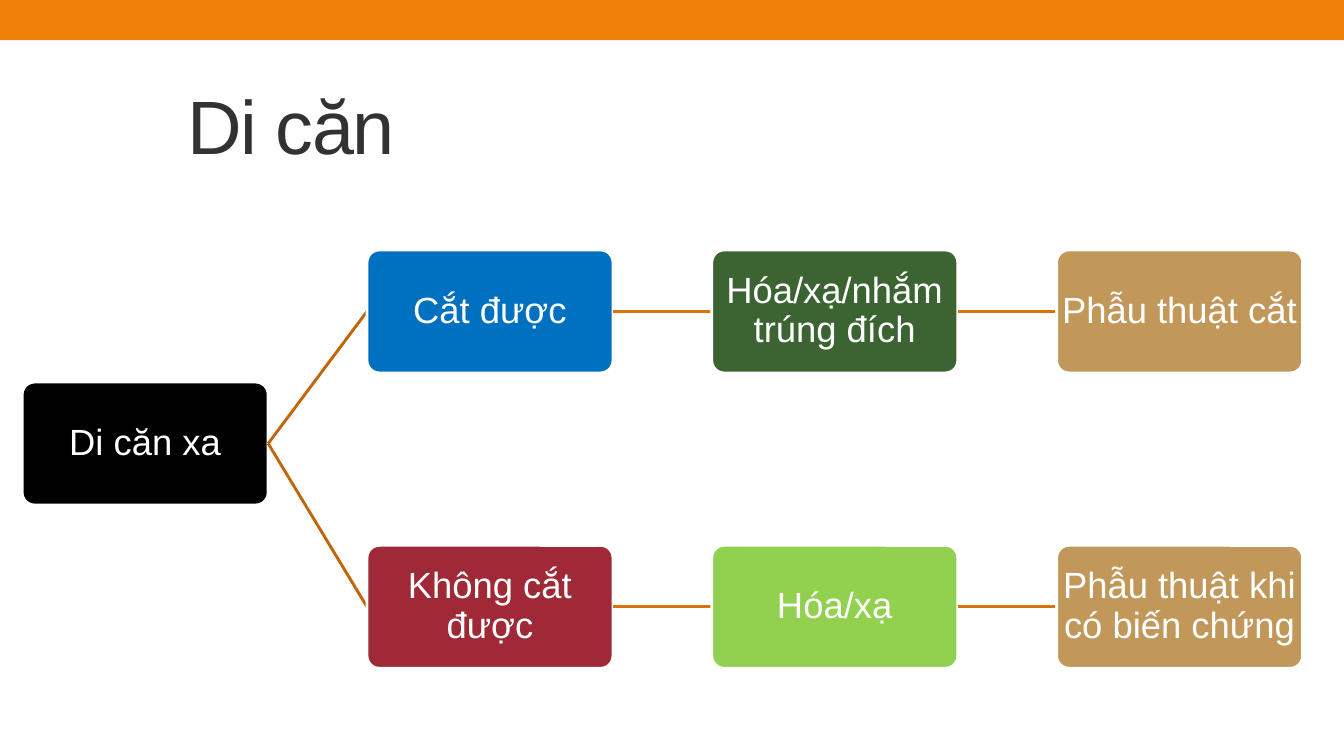
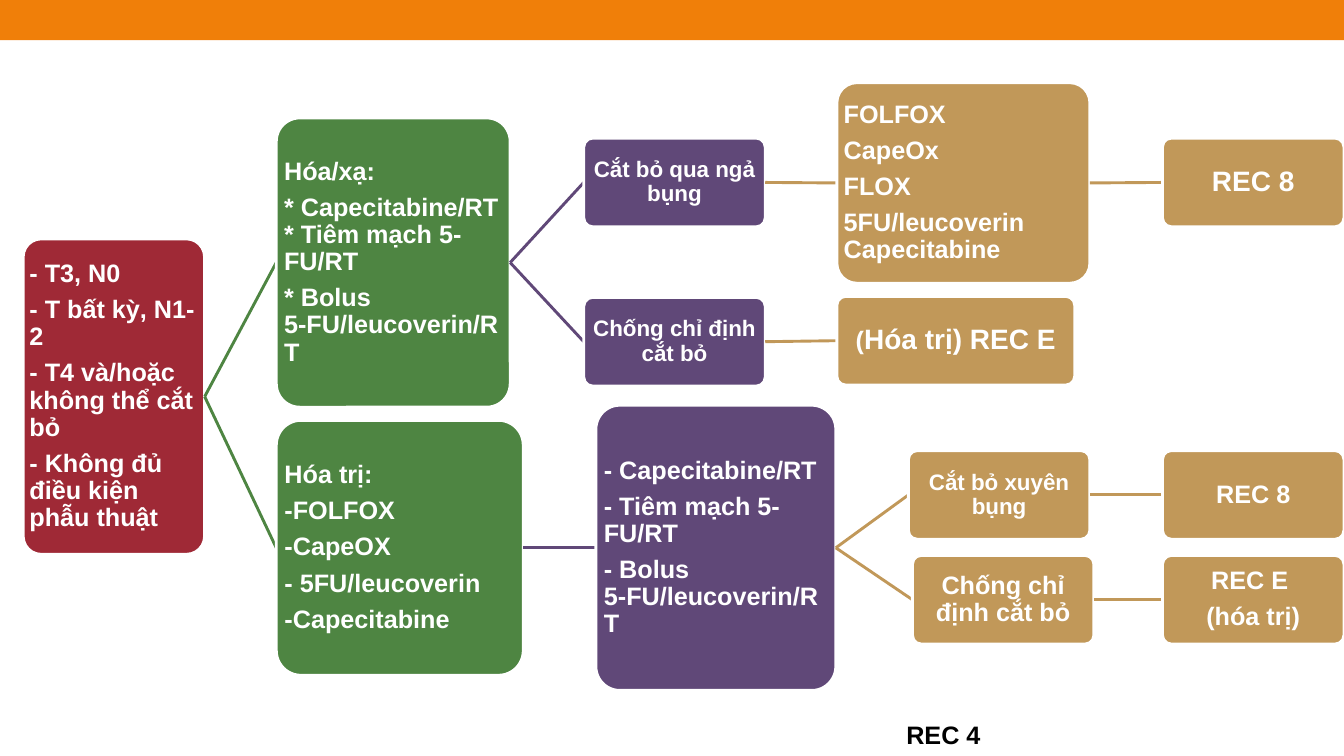
from pptx import Presentation
from pptx.dml.color import RGBColor
from pptx.enum.shapes import MSO_CONNECTOR, MSO_SHAPE
from pptx.enum.text import MSO_ANCHOR, PP_ALIGN
from pptx.oxml.ns import qn
from pptx.util import Inches, Pt
from lxml.etree import SubElement

FONT = "Arial"
WHITE = RGBColor(0xFF, 0xFF, 0xFF)
BLACK = RGBColor(0x00, 0x00, 0x00)
ORANGE = RGBColor(0xF0, 0x7F, 0x09)
DARK_ORANGE = RGBColor(0xC0, 0x66, 0x07)
MID_ORANGE = RGBColor(0xDA, 0x73, 0x08)
CHARCOAL = RGBColor(0x32, 0x32, 0x32)
BLUE = RGBColor(0x00, 0x70, 0xC0)
FOREST = RGBColor(0x3B, 0x64, 0x32)
GREEN = RGBColor(0x4E, 0x85, 0x42)
LIME = RGBColor(0x92, 0xD0, 0x50)
RED = RGBColor(0x9F, 0x29, 0x36)
PURPLE = RGBColor(0x60, 0x48, 0x78)
TAN = RGBColor(0xC1, 0x98, 0x59)

LINE_WIDTH = Pt(2.08)
LEFT_SITE, RIGHT_SITE = 1, 3
TITLE_ONLY, BLANK = 5, 6


def add_slide(prs, layout):
    """Add a slide with the orange band along its top edge."""
    s = prs.slides.add_slide(prs.slide_layouts[layout])
    band = s.shapes.add_shape(MSO_SHAPE.RECTANGLE, 0, 0, prs.slide_width, Inches(0.4))
    band.shadow.inherit = False
    band.fill.solid()
    band.fill.fore_color.rgb = ORANGE
    band.line.fill.background()
    return s


def add_run(p, text, size, color, bold=False):
    r = p.add_run()
    r.text = text
    r.font.name = FONT
    r.font.size = Pt(size)
    r.font.bold = bold
    r.font.color.rgb = color
    return r


def set_title(s, text):
    title = s.shapes.title
    title.left, title.top = Inches(1.76), Inches(0.53)
    title.width, title.height = Inches(9.75), Inches(1.4)
    tf = title.text_frame
    tf.vertical_anchor = MSO_ANCHOR.MIDDLE
    p = tf.paragraphs[0]
    p.alignment = PP_ALIGN.LEFT
    r = add_run(p, text, 54, CHARCOAL)
    r.font._element.set("spc", "-100")


def fill_text(tf, paragraphs, size, bold, align):
    """Write paragraphs; each is a string or a list of (text, size) runs."""
    tf.word_wrap = True
    tf.vertical_anchor = MSO_ANCHOR.MIDDLE
    tf.margin_left = tf.margin_right = tf.margin_top = tf.margin_bottom = Inches(0.01)
    for i, content in enumerate(paragraphs):
        p = tf.add_paragraph() if i else tf.paragraphs[0]
        p.alignment = align
        p.line_spacing = 0.9
        p.space_after = Pt(round(0.35 * size, 1))
        runs = [(content, size)] if isinstance(content, str) else content
        for text, run_size in runs:
            for j, part in enumerate(text.split("\n")):
                if j:
                    p.add_line_break()
                add_run(p, part, run_size, WHITE, bold)


def add_link(s, parent, x, y, color):
    """Draw a line from the right side of parent to the point x, y."""
    link = s.shapes.add_connector(MSO_CONNECTOR.STRAIGHT, 0, 0, x, y)
    link.begin_connect(parent, RIGHT_SITE)
    link.line.color.rgb = color
    link.line.width = LINE_WIDTH
    SubElement(link._element.spPr, qn("a:effectLst"))
    return link


def add_node(s, box, fill, paragraphs, size, bold=True, align=PP_ALIGN.CENTER,
             parent=None, link_color=TAN):
    """Add a rounded box, with a line from its parent lying beneath it."""
    x, y, w, h = (Inches(v) for v in box)
    link = add_link(s, parent, x, y + h // 2, link_color) if parent else None
    sp = s.shapes.add_shape(MSO_SHAPE.ROUNDED_RECTANGLE, x, y, w, h)
    sp.adjustments[0] = 0.1
    sp.shadow.inherit = False
    sp.fill.solid()
    sp.fill.fore_color.rgb = fill
    sp.line.color.rgb = WHITE
    sp.line.width = LINE_WIDTH
    fill_text(sp.text_frame, paragraphs, size, bold, align)
    if link:
        link.end_connect(sp, LEFT_SITE)
    return sp


def build_metastasis(prs):
    s = add_slide(prs, TITLE_ONLY)
    set_title(s, "Di căn")

    def node(column, y, fill, text, **kwargs):
        box = (0.22 + 3.42 * column, y, 2.44, 1.22)
        return add_node(s, box, fill, [text], 26, bold=False, **kwargs)

    root = node(0, 3.79, BLACK, "Di căn xa")
    branches = [
        (2.48, [(BLUE, "Cắt được"), (FOREST, "Hóa/xạ/nhắm trúng đích"),
                (TAN, "Phẫu thuật cắt")]),
        (5.41, [(RED, "Không cắt được"), (LIME, "Hóa/xạ"),
                (TAN, "Phẫu thuật khi có biến chứng")]),
    ]
    for y, steps in branches:
        parent = root
        for column, (fill, text) in enumerate(steps, 1):
            color = DARK_ORANGE if parent is root else MID_ORANGE
            parent = node(column, y, fill, text, parent=parent, link_color=color)


def build_treatment(prs):
    s = add_slide(prs, BLANK)

    def listing(box, fill, paragraphs, **kwargs):
        return add_node(s, box, fill, paragraphs, 18, align=PP_ALIGN.LEFT, **kwargs)

    def step(x, y, fill, paragraphs, size, parent, width=1.8, link_color=TAN):
        return add_node(s, (x, y, width, 0.88), fill, paragraphs, size,
                        parent=parent, link_color=link_color)

    stage = listing((0.23, 2.37, 1.8, 3.13), RED, [
        "- T3, N0", "- T bất kỳ, N1-2", "- T4 và/hoặc không thể cắt bỏ",
        "- Không đủ điều kiện phẫu thuật"])

    chemoradiation = listing((2.74, 1.17, 2.32, 2.87), GREEN, [
        "Hóa/xạ:", "* Capecitabine/RT * Tiêm mạch 5-FU/RT",
        "* Bolus\n5-FU/leucoverin/RT"], parent=stage, link_color=GREEN)
    resection = step(5.79, 1.37, PURPLE, ["Cắt bỏ qua ngả bụng"], 16,
                     chemoradiation, link_color=PURPLE)
    regimens = listing((8.3, 0.82, 2.51, 1.99), TAN, [
        "FOLFOX", "CapeOx", "FLOX", "5FU/leucoverin Capecitabine"], parent=resection)
    step(11.53, 1.37, TAN, ["REC 8"], 20, regimens)
    contraindicated = step(5.79, 2.95, PURPLE, ["Chống chỉ định cắt bỏ"], 16,
                           chemoradiation, link_color=PURPLE)
    step(8.3, 2.94, TAN, [[("(", 18), ("Hóa trị) REC E", 20)]], 20,
         contraindicated, width=2.36)

    chemotherapy = listing((2.74, 4.17, 2.45, 2.53), GREEN, [
        "Hóa trị:", "-FOLFOX", "-CapeOX", "- 5FU/leucoverin", "-Capecitabine"],
        parent=stage, link_color=GREEN)
    radiation = listing((5.91, 4.02, 2.38, 2.83), PURPLE, [
        "- Capecitabine/RT", "- Tiêm mạch 5-FU/RT", "- Bolus\n5-FU/leucoverin/RT"],
        parent=chemotherapy, link_color=PURPLE)
    excision = step(9.01, 4.47, TAN, ["Cắt bỏ xuyên bụng"], 16, radiation)
    step(11.53, 4.47, TAN, ["REC 8"], 18, excision)
    no_excision = step(9.05, 5.51, TAN, ["Chống chỉ định cắt bỏ"], 18, radiation)
    step(11.53, 5.51, TAN, ["REC E ", "(hóa trị)"], 18, no_excision)

    label = s.shapes.add_textbox(Inches(8.89), Inches(7.09), Inches(2.08), Inches(0.4))
    label.text_frame.word_wrap = True
    add_run(label.text_frame.paragraphs[0], "REC 4", 18, BLACK, bold=True)


def main():
    prs = Presentation()
    prs.slide_width, prs.slide_height = Inches(13.33), Inches(7.5)
    build_metastasis(prs)
    build_treatment(prs)
    prs.save("out.pptx")


if __name__ == "__main__":
    main()
